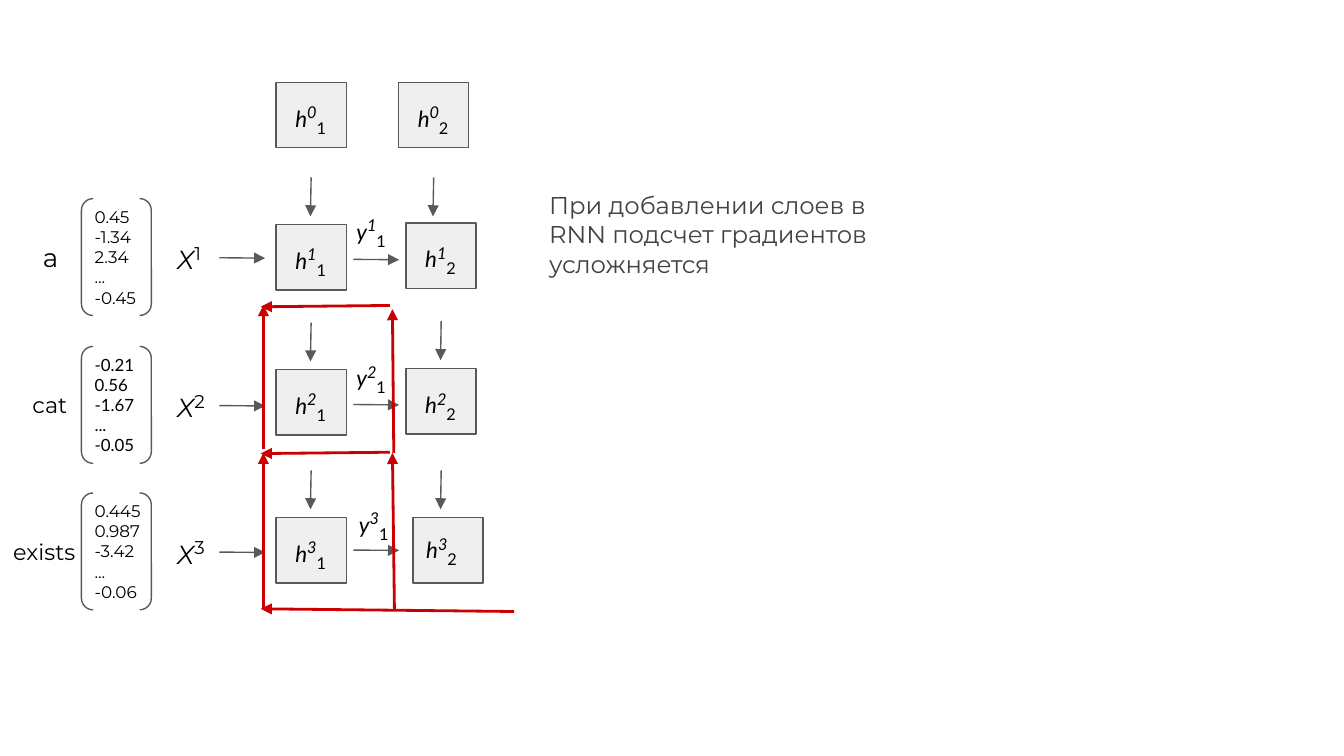
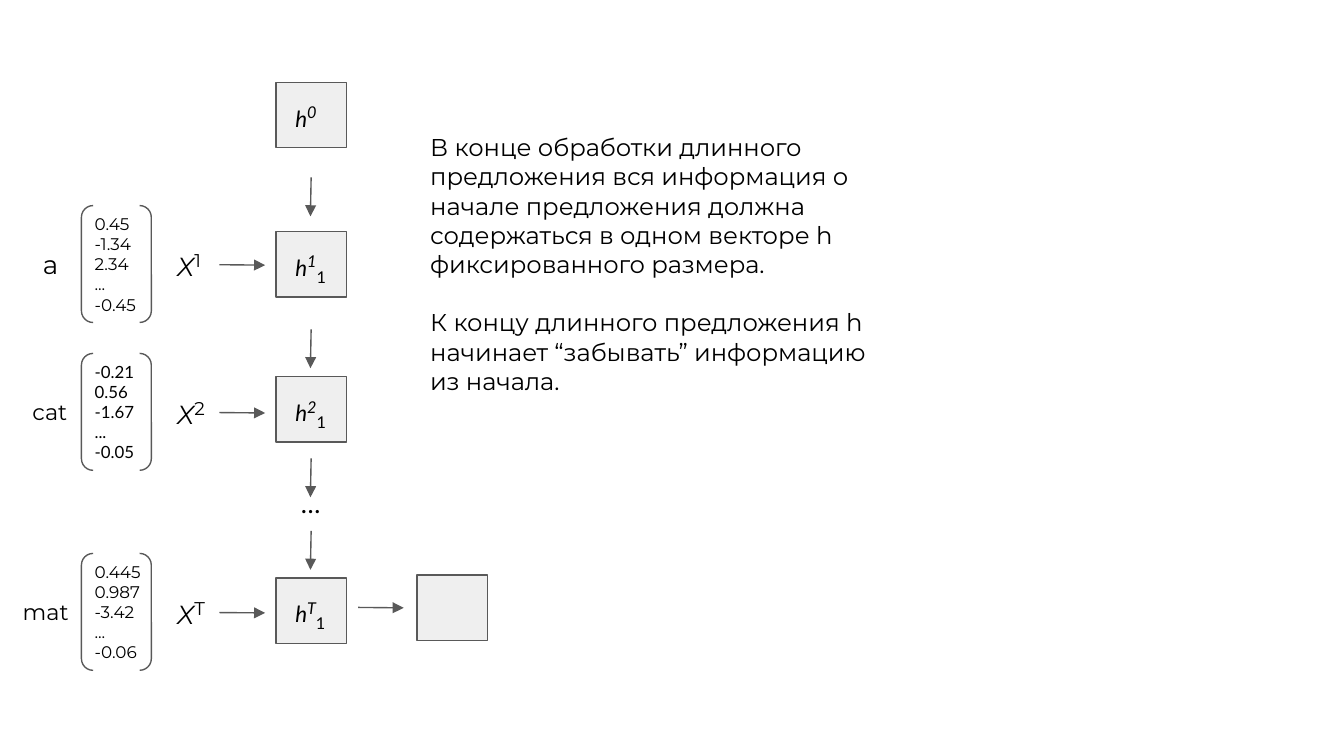
from dataclasses import dataclass

from lxml import etree
from pptx import Presentation
from pptx import util as u
from pptx.dml.color import RGBColor
from pptx.enum import shapes, text
from pptx.oxml import ns

COLUMNS, ROWS = 100, 56.25
SLIDE_WIDTH, SLIDE_HEIGHT = u.Pt(720), u.Pt(405)


@dataclass(frozen=True)
class Theme:
    ink: str = "000000"
    soft_ink: str = "434343"
    outline: str = "595959"
    cell: str = "EFEFEF"
    gradient: str = "CC0000"
    body_font: str = "Montserrat"
    symbol_font: str = "Lato"
    body_size: int = 13
    word_size: int = 12
    vector_size: int = 9
    input_size: int = 14
    input_index_size: int = 17
    state_size: int = 12
    state_index_size: int = 15
    thin: float = 0.75
    thick: float = 1.5
    paragraph_gap: float = 15.8


class Diagram:
    """Draws on the current slide; all positions are grid columns and rows."""

    CELL_WIDTH, CELL_HEIGHT = 5.23, 4.87
    STATE_LEFT = 20.54

    def __init__(self, presentation, theme):
        self.presentation = presentation
        self.theme = theme
        self.slide = None

    def new_slide(self):
        self.slide = self.presentation.slides.add_slide(self.presentation.slide_layouts[6])

    @staticmethod
    def place(left, top, width, height):
        x_unit, y_unit = SLIDE_WIDTH / COLUMNS, SLIDE_HEIGHT / ROWS
        return [u.Emu(round(value)) for value in
                (left * x_unit, top * y_unit, width * x_unit, height * y_unit)]

    def format_run(self, run, size, font, color=None, italic=False, baseline=0):
        run.font.size = u.Pt(size)
        run.font.name = font
        run.font.italic = italic
        run.font.color.rgb = RGBColor.from_string(color or self.theme.ink)
        if baseline:
            run._r.get_or_add_rPr().set("baseline", str(baseline * 1000))

    def frame(self, left, top, width, height):
        box = self.slide.shapes.add_textbox(*self.place(left, top, width, height))
        frame = box.text_frame
        frame.word_wrap = True
        frame.auto_size = text.MSO_AUTO_SIZE.SHAPE_TO_FIT_TEXT
        frame.margin_left = frame.margin_right = u.Inches(0.1)
        frame.margin_top = frame.margin_bottom = u.Inches(0.1)
        return frame

    def text(self, box, content, size, font=None, color=None, gap=0):
        frame = self.frame(*box)
        frame.text = content
        for paragraph in frame.paragraphs:
            for run in paragraph.runs:
                self.format_run(run, size, font or self.theme.body_font, color)
        for paragraph in frame.paragraphs[:-1]:
            paragraph.space_after = u.Pt(gap)

    def symbol(self, box, letter, upper, lower=""):
        """Writes an italic letter with an upper and a lower index."""
        theme = self.theme
        paragraph = self.frame(*box).paragraphs[0]
        for content, size, italic, baseline in (
            (letter, theme.state_size, True, 0),
            (upper, theme.state_index_size, True, 30),
            (lower, theme.state_index_size, False, -25),
        ):
            if content:
                run = paragraph.add_run()
                run.text = content
                self.format_run(run, size, theme.symbol_font, italic=italic, baseline=baseline)

    def input_symbol(self, top, index):
        theme = self.theme
        paragraph = self.frame(12.2, top, 6, 4.9).paragraphs[0]
        paragraph.text = "X"
        self.format_run(paragraph.runs[0], theme.input_size, theme.body_font, italic=True)
        run = paragraph.add_run()
        run.text = index
        self.format_run(run, theme.input_index_size, theme.body_font, baseline=30)

    def outline_shape(self, kind, box, fill=None):
        shape = self.slide.shapes.add_shape(kind, *self.place(*box))
        shape.shadow.inherit = False
        if fill:
            shape.fill.solid()
            shape.fill.fore_color.rgb = RGBColor.from_string(fill)
        else:
            shape.fill.background()
        shape.line.color.rgb = RGBColor.from_string(self.theme.outline)
        shape.line.width = u.Pt(self.theme.thin)

    def cell(self, left, top):
        self.outline_shape(shapes.MSO_SHAPE.RECTANGLE,
                           (left, top, self.CELL_WIDTH, self.CELL_HEIGHT), self.theme.cell)

    def state(self, left, top, step, layer="", indent=0.45, drop=0.25):
        self.cell(left, top)
        self.symbol((left + indent, top + drop, 5.8, 4.5), "h", step, layer)

    def arrow(self, start, end, color=None, weight=None):
        connector = self.slide.shapes.add_connector(
            shapes.MSO_CONNECTOR.STRAIGHT, *self.place(*start, *end))
        connector.line.color.rgb = RGBColor.from_string(color or self.theme.outline)
        connector.line.width = u.Pt(weight or self.theme.thin)
        properties = connector._element.spPr
        line = properties.find(ns.qn("a:ln"))
        etree.SubElement(line, ns.qn("a:tailEnd"), type="triangle")
        etree.SubElement(properties, ns.qn("a:effectLst"))

    def right_arrow(self, left, top):
        self.arrow((left, top), (left + 3.4, top + 0.03))

    def down_arrow(self, left, top):
        self.arrow((left, top), (left - 0.05, top + 2.9))

    def gradient_arrow(self, start, end):
        self.arrow(start, end, self.theme.gradient, self.theme.thick)

    def input_row(self, top, state_top, word, vector, step):
        """Draws a word, its vector, its input symbol and first-layer state."""
        content, left, drop, width, height, size = word
        numbers, font = vector
        self.text((left, top + drop, width, height), content, size)
        self.outline_shape(shapes.MSO_SHAPE.DOUBLE_BRACKET, (6.06, top, 5.2, 8.7))
        self.text((6.06, top - 0.42, 8.4, 9.6), "\n".join(numbers), self.theme.vector_size, font)
        self.input_symbol(top + 1.93, step)
        self.right_arrow(16.33, top + 4.4)
        self.state(self.STATE_LEFT, state_top, step, "1")


THEME = Theme()
WORD_A = ("a", 2.2, 2.17, 4.5, 4.4, THEME.input_size)
WORD_CAT = ("cat", 1.43, 2.3, 8.8, 4, THEME.word_size)
WORD_EXISTS = ("exists", 0, 2.33, 6.7, 4, THEME.word_size)
WORD_MAT = ("mat", 0.7, 2.33, 6, 4, THEME.word_size)
VECTORS = (
    (("0.45", "-1.34", "2.34", "...", "-0.45"), THEME.body_font),
    (("-0.21", "0.56", "-1.67", "...", "-0.05"), THEME.symbol_font),
    (("0.445", "0.987", "-3.42", "...", "-0.06"), THEME.body_font),
)


def draw_inputs(diagram, tops, state_tops, words, steps):
    for row in zip(tops, state_tops, words, VECTORS, steps):
        diagram.input_row(*row)


def build_two_layers(diagram):
    diagram.new_slide()
    steps = ("1", "2", "3")
    draw_inputs(diagram, (14.78, 25.78, 36.68), (16.7, 27.5, 38.5),
                (WORD_A, WORD_CAT, WORD_EXISTS), steps)
    diagram.state(diagram.STATE_LEFT, 6.13, "0", "1")
    for top in (13.2, 24, 35):
        diagram.down_arrow(23.15, top)

    diagram.state(29.65, 6.13, "0", "2")
    diagram.state(30.2, 16.6, "1", "2")
    diagram.state(30.2, 27.43, "2", "2")
    diagram.state(30.73, 38.5, "3", "2", indent=0, drop=0)
    for left, top in ((32.27, 13.2), (32.83, 23.9), (32.83, 35)):
        diagram.down_arrow(left, top)

    for step, arrow_top, left, top in zip(
            steps, (19.3, 30.1, 40.93), (25.53, 25.53, 25.73), (14.8, 25.7, 36.6)):
        diagram.right_arrow(26.3, arrow_top)
        diagram.symbol((left, top, 6.7, 4.5), "y", step, "1")

    for start, end in (
        ((38.25, 45.5), (19.4, 45.3)),
        ((19.6, 45.3), (19.6, 33.7)),
        ((19.6, 33.4), (19.6, 22.7)),
        ((29.35, 45.3), (29.2, 33.7)),
        ((29.3, 33.7), (29.2, 23)),
        ((29, 33.65), (19.4, 33.75)),
        ((29, 22.73), (19.4, 22.83)),
    ):
        diagram.gradient_arrow(start, end)

    diagram.text((39.87, 13.18, 29.8, 8.6),
                 "При добавлении слоев в RNN подсчет градиентов усложняется",
                 THEME.body_size, color=THEME.soft_ink)


def build_long_sentence(diagram):
    diagram.new_slide()
    draw_inputs(diagram, (15.3, 26.3, 41.18), (17.23, 28.03, 43),
                (WORD_A, WORD_CAT, WORD_MAT), ("1", "2", "T"))
    diagram.state(diagram.STATE_LEFT, 6.13, "0")
    for top in (13.2, 24.5, 34.1, 39.5):
        diagram.down_arrow(23.15, top)
    diagram.text((21.4, 35.3, 3.6, 4.4), "…", THEME.input_size, THEME.symbol_font)
    diagram.right_arrow(26.64, 45.2)
    diagram.cell(31.03, 42.77)
    diagram.text((31.03, 8.86, 35.7, 21.7),
                 "В конце обработки длинного предложения вся информация о начале "
                 "предложения должна содержаться в одном векторе h фиксированного размера.\n"
                 "К концу длинного предложения h начинает “забывать” информацию из начала.",
                 THEME.body_size, gap=THEME.paragraph_gap)


def main():
    presentation = Presentation()
    presentation.slide_width, presentation.slide_height = SLIDE_WIDTH, SLIDE_HEIGHT
    diagram = Diagram(presentation, THEME)
    build_two_layers(diagram)
    build_long_sentence(diagram)
    presentation.save("out.pptx")


if __name__ == "__main__":
    main()
